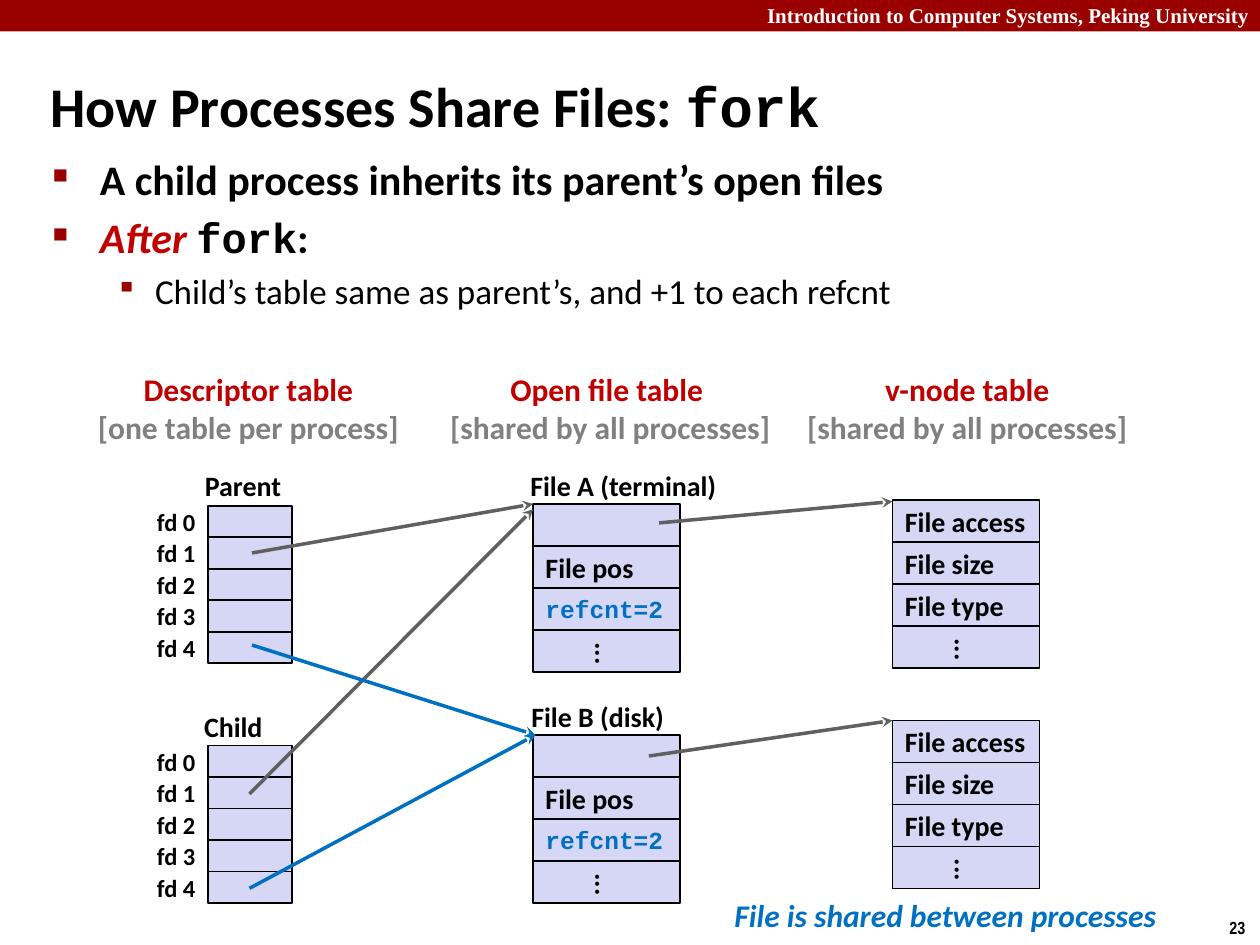
"""Build the slide on how processes share files after fork."""
from lxml import etree
from pptx import Presentation
from pptx import util as u
from pptx.dml.color import RGBColor
from pptx.enum import shapes, text
from pptx.oxml import ns

Pt = u.Pt
BLACK = RGBColor(0x00, 0x00, 0x00)
WHITE = RGBColor(0xFF, 0xFF, 0xFF)
MAROON = RGBColor(0x99, 0x00, 0x00)
RED = RGBColor(0xC0, 0x00, 0x00)
BLUE = RGBColor(0x00, 0x70, 0xC0)
GRAY = RGBColor(0x80, 0x80, 0x80)
DARK = RGBColor(0x60, 0x60, 0x60)
LAVENDER = RGBColor(0xD6, 0xD6, 0xF5)
LEFT, CENTER, RIGHT = text.PP_ALIGN.LEFT, text.PP_ALIGN.CENTER, text.PP_ALIGN.RIGHT
MIDDLE, TOP = text.MSO_ANCHOR.MIDDLE, text.MSO_ANCHOR.TOP
CODE = {"name": "Courier New"}


class SlideBuilder:
    def __init__(self, slide):
        self.slide = slide
        self.style = {"name": "Calibri", "size": 16, "bold": True, "italic": False, "color": BLACK}

    def add_runs(self, paragraph, runs, **changes):
        for words, run_changes in runs:
            run = paragraph.add_run()
            run.text = words
            for key, value in {**self.style, **changes, **run_changes}.items():
                if key == "color":
                    run.font.color.rgb = value
                else:
                    setattr(run.font, key, Pt(value) if key == "size" else value)

    def title(self, runs, left, top, width, height):
        shape = self.slide.shapes.title
        box = {"left": left, "top": top, "width": width, "height": height}
        for key, value in box.items():
            setattr(shape, key, Pt(value))
        shape.text_frame.vertical_anchor = MIDDLE
        paragraph = shape.text_frame.paragraphs[0]
        paragraph.alignment = LEFT
        self.add_runs(paragraph, runs, size=32)

    def text_box(self, lines, left, top, width, height, align=LEFT, anchor=MIDDLE, **changes):
        shape = self.slide.shapes.add_textbox(Pt(left), Pt(top), Pt(width), Pt(height))
        frame = shape.text_frame
        frame.word_wrap = False
        frame.vertical_anchor = anchor
        for index, (words, color) in enumerate(lines):
            paragraph = frame.add_paragraph() if index else frame.paragraphs[0]
            paragraph.alignment = align
            self.add_runs(paragraph, [(words, {"color": color})], **changes)

    def bullets(self, items, left, top, width, height):
        shape = self.slide.shapes.add_textbox(Pt(left), Pt(top), Pt(width), Pt(height))
        frame = shape.text_frame
        frame.word_wrap = True
        for index, (level, runs) in enumerate(items):
            paragraph = frame.add_paragraph() if index else frame.paragraphs[0]
            margin, hanging, size, mark, percent = [(27, 27, 24, "■", 50), (58.5, 22.5, 20, "▪", 85)][level]
            paragraph.level = level
            properties = paragraph._p.get_or_add_pPr()
            properties.set("marL", str(Pt(margin)))
            properties.set("indent", str(-Pt(hanging)))
            if index:
                paragraph.space_before = Pt(size * 0.2)
            color = etree.SubElement(properties, ns.qn("a:buClr"))
            etree.SubElement(color, ns.qn("a:srgbClr"), val=str(MAROON))
            etree.SubElement(properties, ns.qn("a:buSzPct"), val=str(percent * 1000))
            etree.SubElement(properties, ns.qn("a:buChar"), char=mark)
            self.add_runs(paragraph, runs, size=size, bold=level == 0)

    def rectangle(self, left, top, width, height, fill=LAVENDER, line=BLACK):
        shape = self.slide.shapes.add_shape(
            shapes.MSO_SHAPE.RECTANGLE, Pt(left), Pt(top), Pt(width), Pt(height))
        shape.shadow.inherit = False
        shape.fill.solid()
        shape.fill.fore_color.rgb = fill
        if line is None:
            shape.line.fill.background()
        else:
            shape.line.color.rgb = line
            shape.line.width = Pt(1)
        return shape

    def stack(self, labels, left, top, width, height):
        for row, label in enumerate(labels):
            shape = self.rectangle(left, top + row * height, width, height)
            if not label:
                continue
            frame = shape.text_frame
            frame.word_wrap = False
            frame.vertical_anchor = MIDDLE
            frame.paragraphs[0].alignment = LEFT
            changes = {}
            if label == "...":
                frame._txBody.bodyPr.set("vert", "eaVert")
            elif label.startswith("refcnt"):
                changes = {**CODE, "size": 14, "color": BLUE}
            self.add_runs(frame.paragraphs[0], [(label, changes)])

    def descriptor_table(self, top):
        self.stack([""] * 5, 118.8, top, 48, 18)
        for number in range(5):
            self.text_box([(f"fd {number}", BLACK)], 70.8, top + number * 18, 48, 18, RIGHT, size=14)

    def arrow(self, start, end, color):
        connector = self.slide.shapes.add_connector(
            shapes.MSO_CONNECTOR.STRAIGHT, *[Pt(value) for value in (*start, *end)])
        connector.line.color.rgb = color
        connector.line.width = Pt(2)
        etree.SubElement(connector.line._get_or_add_ln(), ns.qn("a:tailEnd"), type="stealth")
        etree.SubElement(connector._element.spPr, ns.qn("a:effectLst"))


def main():
    presentation = Presentation()
    presentation.slide_width, presentation.slide_height = Pt(720), Pt(540)
    builder = SlideBuilder(presentation.slides.add_slide(presentation.slide_layouts[5]))

    builder.rectangle(0, 0, 720, 18, MAROON, None)
    builder.text_box([("Introduction to Computer Systems, Peking University", WHITE)],
                     401, -2, 320, 21.6, RIGHT, TOP, name="Times New Roman", size=12)
    builder.text_box([("23", BLACK)], 695.5, 520.6, 24.5, 19.4,
                     anchor=TOP, name="Arial Narrow", size=10)
    builder.title([("How Processes Share Files: ", {}), ("fork", CODE)], 21.6, 30, 597.6, 60)
    builder.bullets([
        (0, [("A child process inherits its parent’s open files", {})]),
        (0, [("After ", {"color": RED, "italic": True}), ("fork", CODE), (":", {})]),
        (1, [("Child’s table same as parent’s, and +1 to each refcnt", {})]),
    ], 23, 84, 654.5, 102)

    shared = "[shared by all processes]"
    for heading, note, left, width in [
        ("Descriptor table", "[one table per process]", 48, 188),
        ("Open file table ", shared, 249, 199.5),
        ("v-node table", shared, 453, 199.5),
    ]:
        builder.text_box([(heading, RED), (note, GRAY)], left, 207.4, width, 51, CENTER, size=18)

    for top in (289, 426):
        builder.descriptor_table(top)
    for top in (288, 420):
        builder.stack(["", "File pos", "refcnt=2", "..."], 304.6, top, 84, 24)
    for top in (285.7, 411.7):
        builder.stack(["File access", "File size", "File type", "..."], 510, top, 84, 24)

    for label, left, top, width in [
        ("Parent", 110, 264, 58.5), ("Child", 109.5, 402, 48),
        ("File A (terminal)", 296, 264, 121.5), ("File B (disk)", 296.6, 396, 91.5),
    ]:
        builder.text_box([(label, BLACK)], left, top, width, 26.6)

    for start, end, color in [
        ((144, 316), (304.6, 288), DARK),
        ((142.6, 453.6), (304.6, 291), DARK),
        ((144, 368.6), (306, 420), BLUE),
        ((142.6, 507.6), (306, 420), BLUE),
        ((376.6, 298.8), (510, 286.6), DARK),
        ((370.8, 432), (510, 411.7), DARK),
    ]:
        builder.arrow(start, end, color)
    builder.text_box([("File is shared between processes", BLUE)],
                     411, 508.5, 258.5, 29, CENTER, size=18, italic=True)
    presentation.save("out.pptx")


if __name__ == "__main__":
    main()
